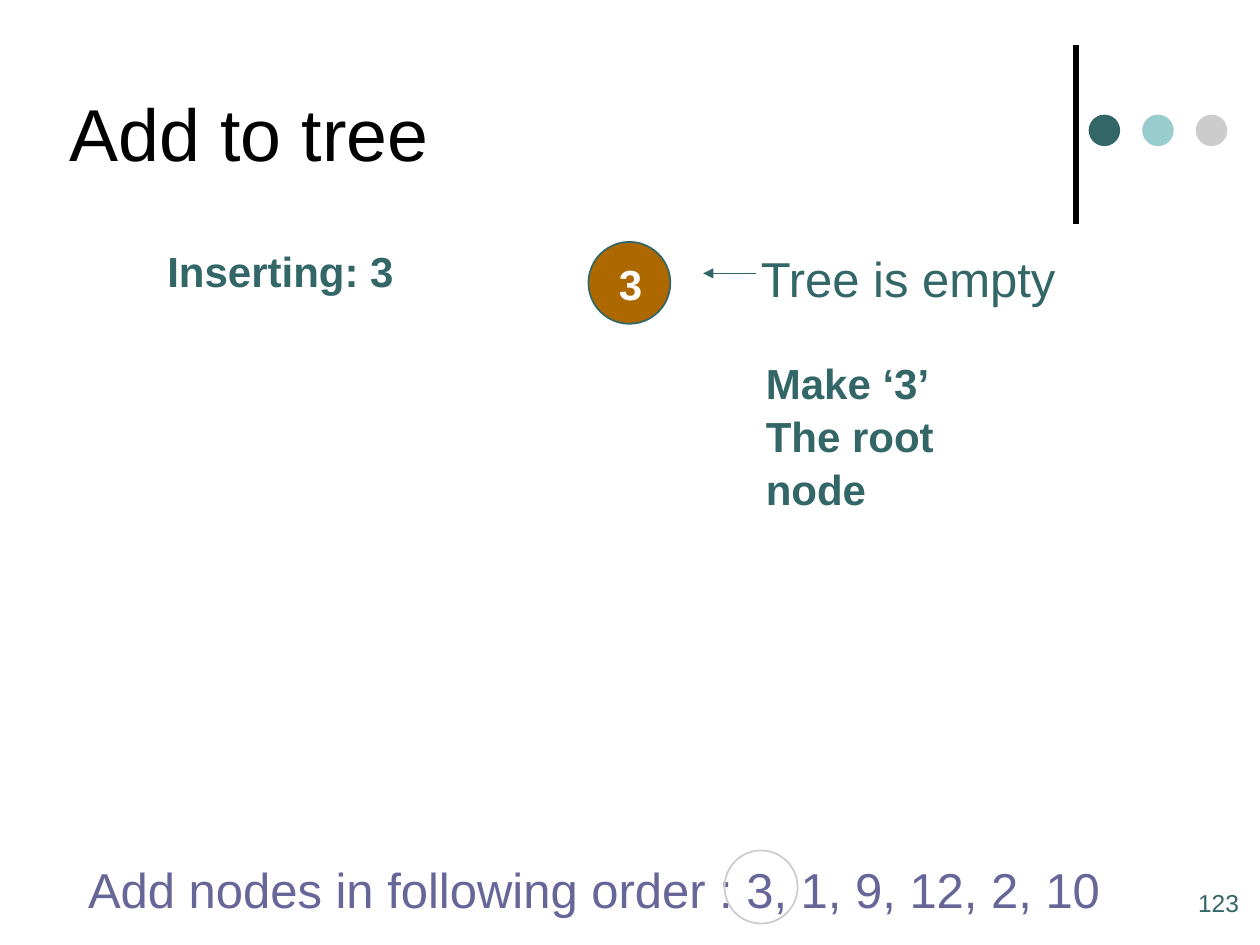
from pptx import Presentation
from pptx.dml.color import RGBColor
from pptx.enum.shapes import MSO_CONNECTOR, MSO_SHAPE
from pptx.enum.text import MSO_ANCHOR, PP_ALIGN
from pptx.oxml.ns import qn
from pptx.util import Inches, Pt
from lxml.etree import SubElement

BLACK = RGBColor(0x00, 0x00, 0x00)
WHITE = RGBColor(0xFF, 0xFF, 0xFF)
TEAL = RGBColor(0x33, 0x66, 0x66)
AQUA = RGBColor(0x99, 0xCC, 0xCC)
GRAY = RGBColor(0xCC, 0xCC, 0xCC)
BROWN = RGBColor(0xAD, 0x69, 0x00)
PURPLE = RGBColor(0x66, 0x66, 0x99)

BOLD = {"size": Pt(24), "bold": True}
LARGE = {"size": Pt(28)}
SMALL = {"size": Pt(14)}
TITLE = {"size": Pt(42), "bold": False}


def write(tf, lines, color, fmt, align=PP_ALIGN.LEFT, spacing=1.0):
    """Fill a text frame, one paragraph per line."""
    for i, line in enumerate(lines):
        p = tf.paragraphs[0] if i == 0 else tf.add_paragraph()
        p.alignment = align
        p.line_spacing = spacing
        r = p.add_run()
        r.text = line
        r.font.color.rgb = color
        for name, value in {"name": "Arial", **fmt}.items():
            setattr(r.font, name, value)


def add_text(s, box, lines, color, fmt, wrap=False, **layout):
    sp = s.shapes.add_textbox(*map(Inches, box))
    sp.text_frame.word_wrap = wrap
    write(sp.text_frame, lines, color, fmt, **layout)


def add_title(s, text):
    sp = s.shapes.title
    sp.left, sp.top, sp.width, sp.height = map(Inches, (0.45, 0.21, 7.67, 1.67))
    sp.text_frame.vertical_anchor = MSO_ANCHOR.MIDDLE
    write(sp.text_frame, [text], BLACK, TITLE)


def add_circle(s, left, top, size, fill=None, line=None):
    sp = s.shapes.add_shape(MSO_SHAPE.OVAL, *map(Inches, (left, top, size, size)))
    sp.shadow.inherit = False
    if fill is None:
        sp.fill.background()
    else:
        sp.fill.solid()
        sp.fill.fore_color.rgb = fill
    if line is None:
        sp.line.fill.background()
    else:
        sp.line.color.rgb = line
        sp.line.width = Pt(1)


def add_line(s, start, end, color, width, arrow=False):
    cx = s.shapes.add_connector(MSO_CONNECTOR.STRAIGHT, *map(Inches, start + end))
    cx.line.color.rgb = color
    cx.line.width = Pt(width)
    if arrow:
        SubElement(cx.line._get_or_add_ln(), qn("a:tailEnd"), type="triangle")
    SubElement(cx._element.spPr, qn("a:effectLst"))


def main():
    prs = Presentation()
    prs.slide_width, prs.slide_height = Inches(10), Inches(7.5)
    s = prs.slides.add_slide(prs.slide_layouts[5])

    # Header: rule, three dots and title
    add_line(s, (8.54, 1.78), (8.54, 0.36), BLACK, 3)
    for i, color in enumerate((TEAL, AQUA, GRAY)):
        add_circle(s, 8.64 + 0.425 * i, 0.91, 0.25, fill=color)
    add_title(s, "Add to tree")

    # Root node of the tree
    add_text(s, (1.23, 1.9, 2, 0.5), ["Inserting: 3"], TEAL, BOLD)
    add_circle(s, 4.67, 1.92, 0.65, fill=BROWN, line=TEAL)
    add_text(s, (4.81, 2, 0.39, 0.5), ["3"], WHITE, BOLD, align=PP_ALIGN.CENTER)

    # Explanation beside the root
    add_text(s, (5.94, 1.92, 2.56, 0.57), ["Tree is empty"], TEAL, LARGE)
    add_line(s, (6, 2.17), (5.58, 2.17), TEAL, 1, arrow=True)
    add_text(s, (5.98, 2.77, 2.1, 1.3), ["Make ‘3’", "The root node"], TEAL, BOLD,
             wrap=True, spacing=1.05)

    # Insertion order, with the current value circled
    add_text(s, (0.6, 6.77, 8.45, 0.57),
             ["Add nodes in following order : 3, 1, 9, 12, 2, 10"], PURPLE, LARGE)
    add_circle(s, 5.75, 6.75, 0.58, line=GRAY)

    # Slide number
    add_text(s, (9.41, 7, 0.59, 0.5), ["123"], TEAL, SMALL)

    prs.save("out.pptx")


if __name__ == "__main__":
    main()
